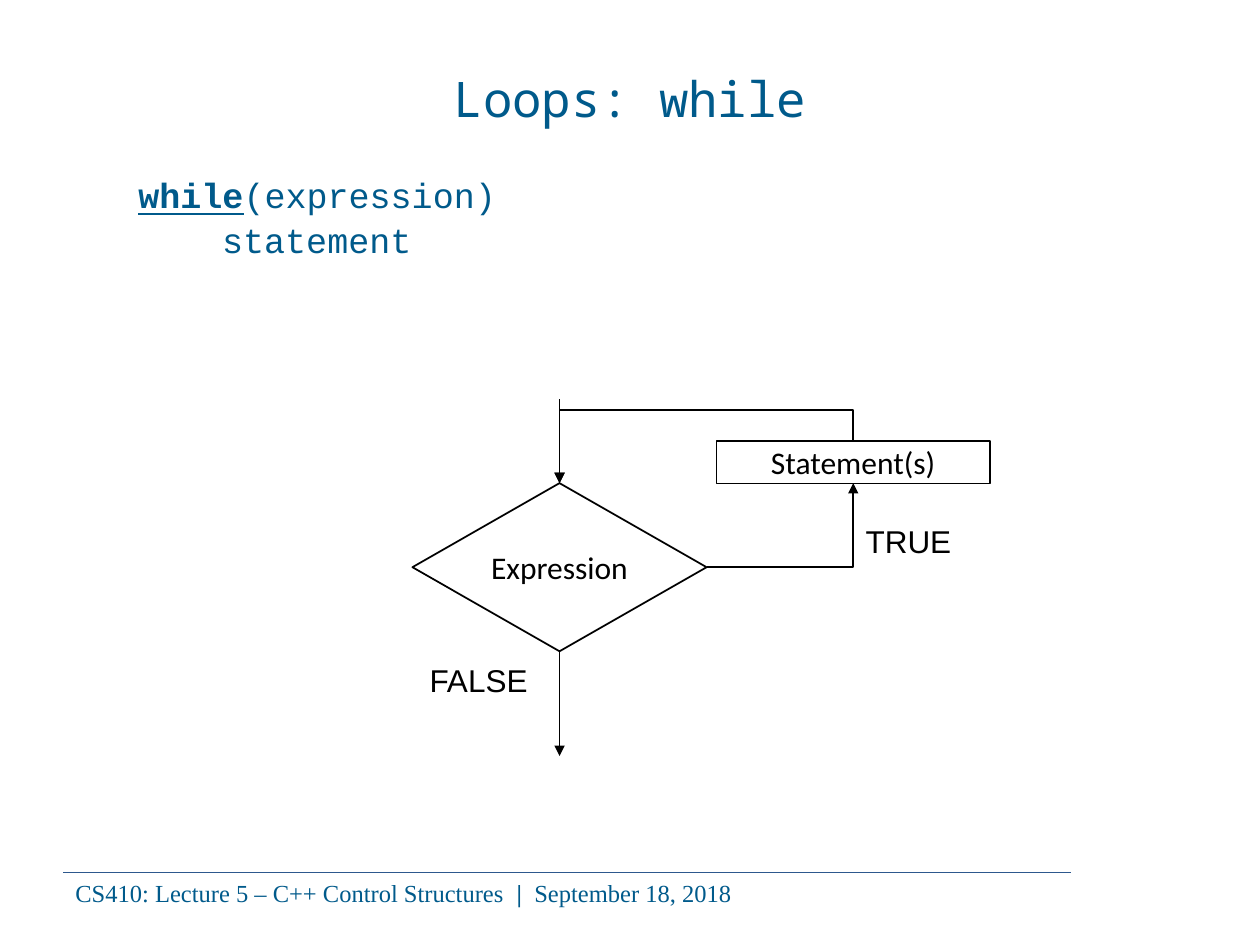
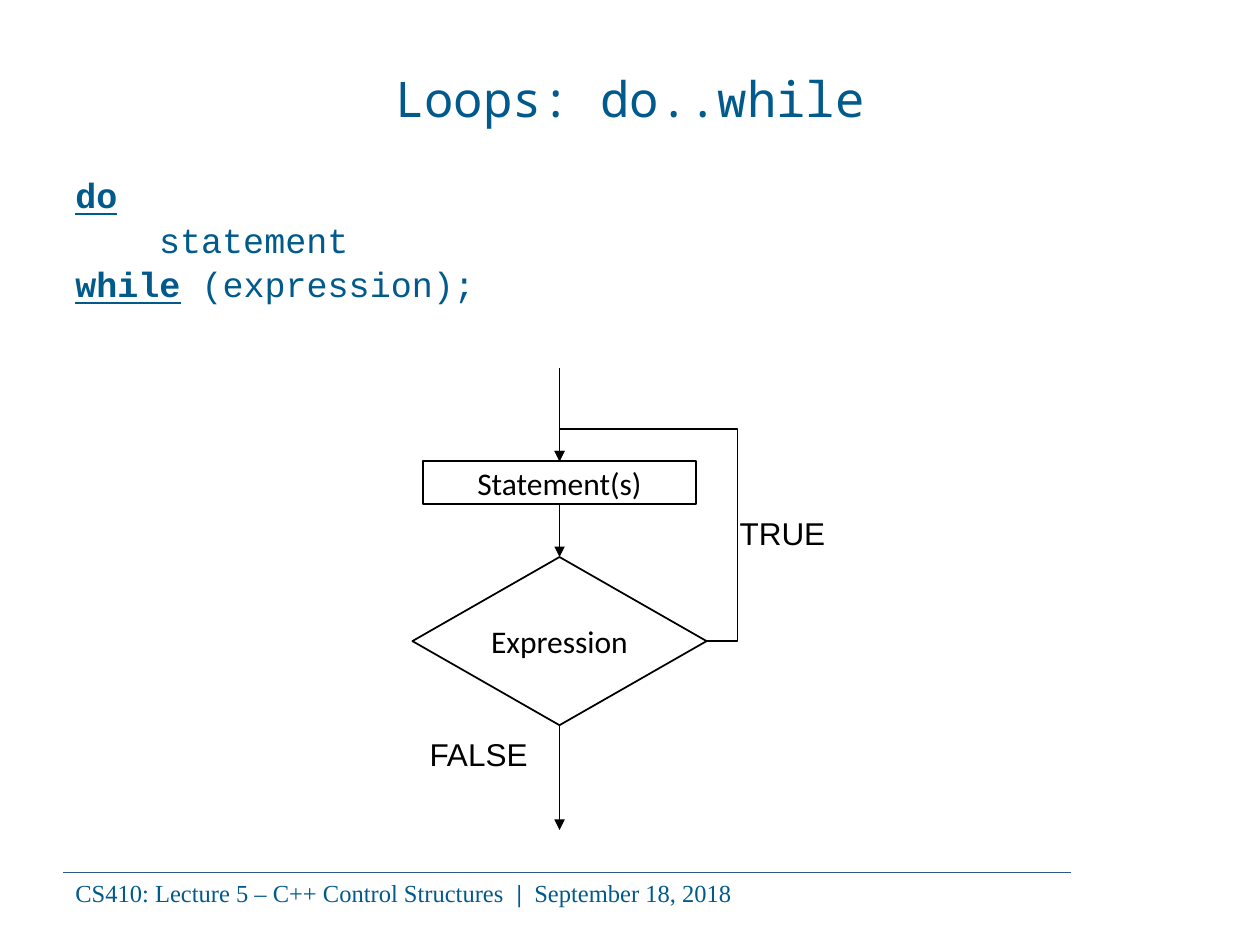
from dataclasses import dataclass

from lxml import etree
from pptx import Presentation
from pptx.dml.color import RGBColor
from pptx.enum import shapes, text
from pptx.oxml import ns
from pptx.util import Cm, Pt


@dataclass(frozen=True)
class Theme:
    ink: RGBColor = RGBColor(0x00, 0x5A, 0x8B)
    rule: RGBColor = RGBColor(0x2D, 0x58, 0x8D)
    chart: RGBColor = RGBColor(0x00, 0x00, 0x00)
    title_font: str = "Noto Sans Mono"
    code_font: str = "Courier New"
    footer_font: str = "Times New Roman"
    node_font: str = "Calibri"
    branch_font: str = "Arial"
    title_size: int = 28
    code_size: int = 20
    flow_size: int = 18
    footer_size: int = 14


theme = Theme()


def write(frame, paragraphs, font, size, color, align=text.PP_ALIGN.LEFT,
          anchor=text.MSO_ANCHOR.TOP, indents=None, before=None):
    frame.word_wrap = True
    frame.vertical_anchor = anchor
    for i, runs in enumerate(paragraphs):
        paragraph = frame.add_paragraph() if i else frame.paragraphs[0]
        paragraph.alignment = align
        if indents:
            paragraph._p.get_or_add_pPr().set("marL", str(Cm(indents[i])))
            paragraph._p.get_or_add_pPr().set("indent", "0")
        if before:
            paragraph.space_before = Pt(before[min(i, 1)])
        for words, style in runs:
            run = paragraph.add_run()
            run.text = words
            run.font.name = font
            run.font.size = Pt(size)
            run.font.color.rgb = color
            run.font.bold = "b" in style
            run.font.underline = "u" in style


def connect(slide, start, end, preset="line", bends=(), upright=False,
            color=theme.chart, width=1, arrow=True):
    (x1, y1), (x2, y2) = start, end
    if upright:
        mid_x, mid_y = (x1 + x2) / 2, (y1 + y2) / 2
        half_w, half_h = (y2 - y1) / 2, (x1 - x2) / 2
        x1, y1, x2, y2 = mid_x - half_w, mid_y - half_h, mid_x + half_w, mid_y + half_h
    kind = shapes.MSO_CONNECTOR.STRAIGHT if preset == "line" else shapes.MSO_CONNECTOR.ELBOW
    link = slide.shapes.add_connector(kind, Cm(x1), Cm(y1), Cm(x2), Cm(y2))
    link.line.color.rgb = color
    link.line.width = Pt(width)
    properties = link._element.spPr
    if upright:
        properties.find(ns.qn("a:xfrm")).set("rot", "5400000")
    geometry = properties.find(ns.qn("a:prstGeom"))
    geometry.set("prst", preset)
    adjustments = geometry.find(ns.qn("a:avLst"))
    for i, bend in enumerate(bends, 1):
        name = "adj" if preset == "bentConnector2" else f"adj{i}"
        etree.SubElement(adjustments, ns.qn("a:gd"), name=name,
                         fmla=f"val {round(bend * 100000)}")
    if arrow:
        etree.SubElement(link.line._get_or_add_ln(), ns.qn("a:tailEnd"), type="triangle")
    etree.SubElement(properties, ns.qn("a:effectLst"))


axis = 11.28
side = 17.2
diamond_w, diamond_h = 5.93, 3.39
statement_w, statement_h = 5.51, 0.86
corner = axis + diamond_w / 2
exit_length = 2.11

loops = [
    dict(
        title="Loops: while",
        code=[[("while", "bu"), ("(expression)", "")], [("statement", "")]],
        indents=[1.27, 2.96],
        statement=(side, 8.89),
        expression_top=9.74,
        true_at=(17.2, 10.39),
        links=[
            dict(start=(axis, 8.05), end=(axis, 9.74)),
            dict(start=(corner, 11.43), end=(side, 9.74), preset="bentConnector2"),
            dict(start=(side, 8.89), end=(axis, 9.74), preset="bentConnector3",
                 bends=[-0.74], upright=True),
        ],
    ),
    dict(
        title="Loops: do..while",
        code=[[("do", "bu")], [("statement", "")],
              [("while", "bu"), (" (expression);", "")]],
        indents=[0, 1.69, 0],
        statement=(axis, 9.3),
        expression_top=11.23,
        true_at=(14.66, 10.24),
        links=[
            dict(start=(axis, 10.16), end=(axis, 11.23)),
            dict(start=(corner, 12.92), end=(axis, 9.3), preset="bentConnector4",
                 bends=[-0.21, 1.18]),
            dict(start=(axis, 7.42), end=(axis, 9.3)),
        ],
    ),
]

footer = [[("CS410: Lecture 5 – C++ Control Structures  ", ""), ("|  ", "b"),
           ("September 18, 2018", "")]]

deck = Presentation()
deck.slide_width, deck.slide_height = Cm(25.4), Cm(19.05)

for loop in loops:
    slide = deck.slides.add_slide(deck.slide_layouts[6])
    expression_top = loop["expression_top"]
    expression_end = expression_top + diamond_h

    connect(slide, (1.27, 17.58), (21.59, 17.58), color=theme.rule, width=0.5, arrow=False)

    ink_blocks = [
        ((1.27, 17.58, 20.75, 0.86), footer,
         dict(font=theme.footer_font, size=theme.footer_size)),
        ((1.27, 0.76, 22.86, 2.41), [[(loop["title"], "")]],
         dict(font=theme.title_font, size=theme.title_size,
              align=text.PP_ALIGN.CENTER, anchor=text.MSO_ANCHOR.MIDDLE)),
        ((1.27, 3.38, 21.79, 2.97), loop["code"],
         dict(font=theme.code_font, size=theme.code_size,
              indents=loop["indents"], before=(5, 1.3))),
    ]
    for place, paragraphs, style in ink_blocks:
        block = slide.shapes.add_textbox(*map(Cm, place))
        write(block.text_frame, paragraphs, color=theme.ink, **style)

    statement_x, statement_top = loop["statement"]
    nodes = [
        ("Statement(s)", shapes.MSO_SHAPE.RECTANGLE, statement_x, statement_top,
         statement_w, statement_h),
        ("Expression", shapes.MSO_SHAPE.DIAMOND, axis, expression_top,
         diamond_w, diamond_h),
    ]
    for words, outline, center, top, width, height in nodes:
        node = slide.shapes.add_shape(outline, Cm(center - width / 2), Cm(top),
                                      Cm(width), Cm(height))
        node.shadow.inherit = False
        node.fill.background()
        node.line.color.rgb = theme.chart
        node.line.width = Pt(1)
        node.text_frame.margin_left = node.text_frame.margin_right = 0
        write(node.text_frame, [[(words, "")]], theme.node_font, theme.flow_size,
              theme.chart, align=text.PP_ALIGN.CENTER, anchor=text.MSO_ANCHOR.MIDDLE)

    for link in loop["links"]:
        connect(slide, **link)
    connect(slide, (axis, expression_end), (axis, expression_end + exit_length))

    for words, (left, top) in [("TRUE", loop["true_at"]),
                               ("FALSE", (8.41, expression_end + 0.08))]:
        branch = slide.shapes.add_textbox(Cm(left), Cm(top), Cm(2.64), Cm(1.02))
        write(branch.text_frame, [[(words, "")]], theme.branch_font, theme.flow_size,
              theme.chart)

deck.save("out.pptx")
